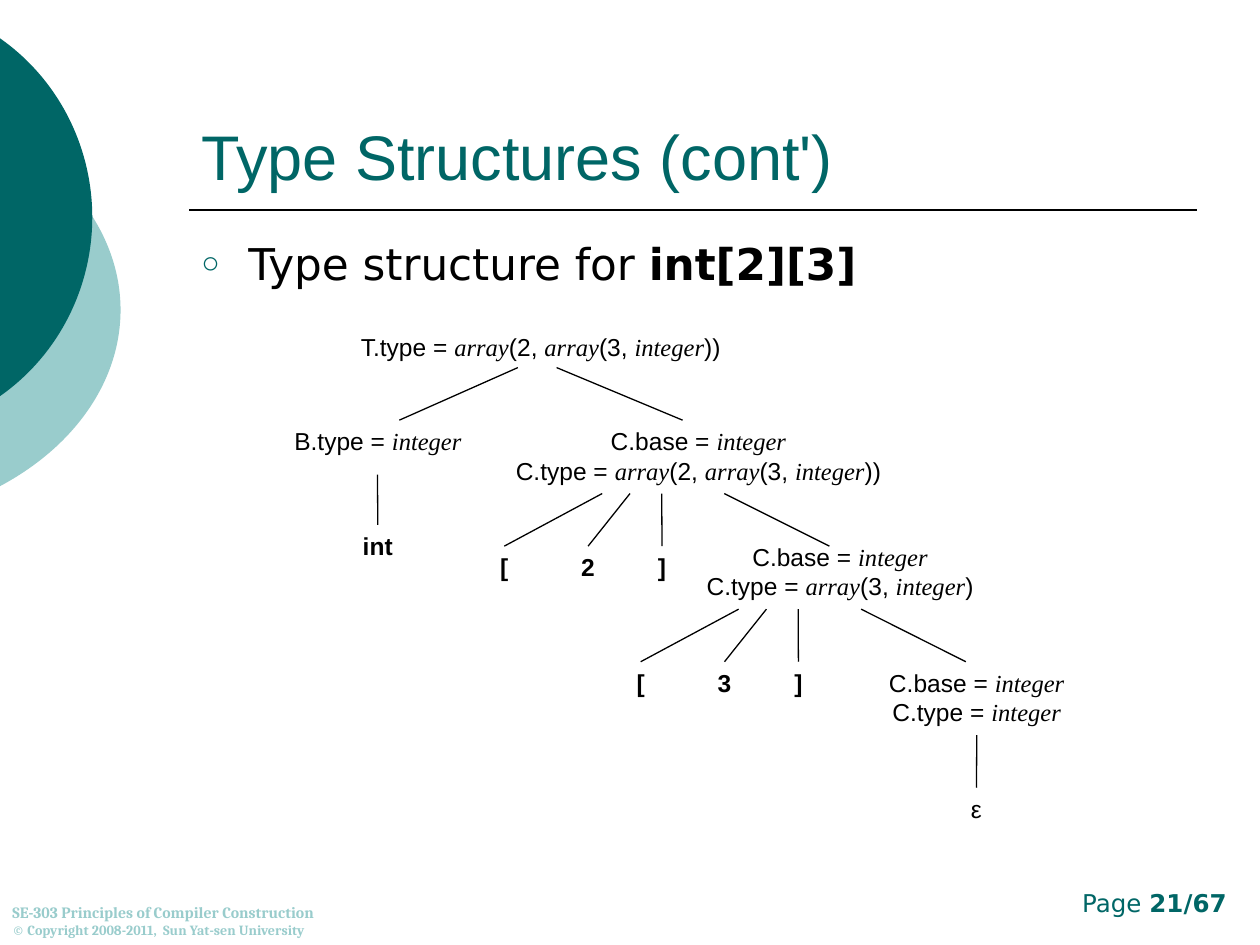
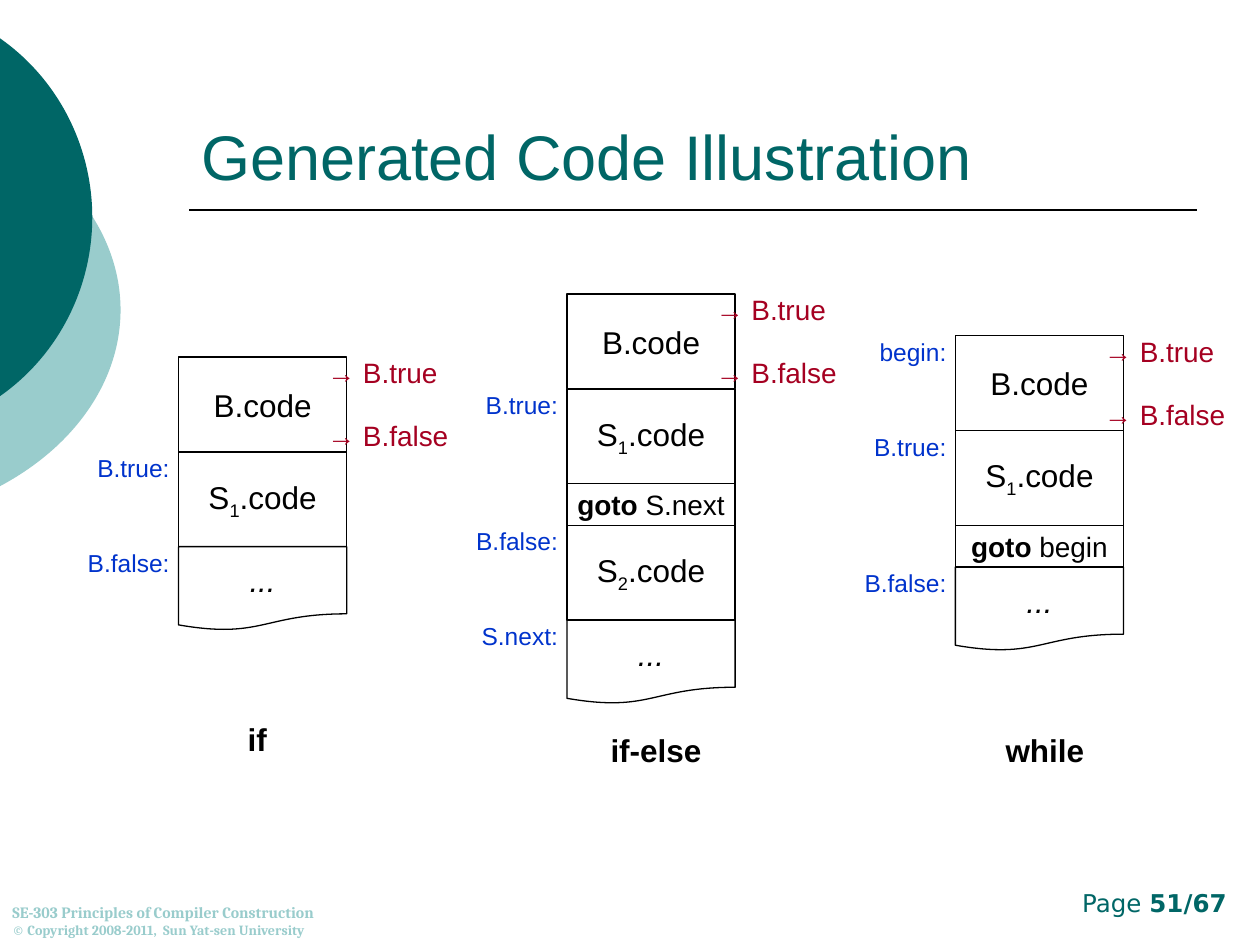
from lxml import etree
from pptx import Presentation
from pptx.dml.color import RGBColor
from pptx.enum import shapes, text
from pptx.oxml import ns
from pptx.util import Cm, Pt

HUES = {"dark": "006666", "pale": "99CCCC", "ink": "000000",
        "jump": "A50021", "label": "0033CC"}
LEFT, MID, RIGHT = text.PP_ALIGN.LEFT, text.PP_ALIGN.CENTER, text.PP_ALIGN.RIGHT
TOP, CORE, LOW = text.MSO_ANCHOR.TOP, text.MSO_ANCHOR.MIDDLE, text.MSO_ANCHOR.BOTTOM
RECT, DOC = shapes.MSO_SHAPE.RECTANGLE, shapes.MSO_SHAPE.FLOWCHART_DOCUMENT

HEAD = {"name": "Arial", "size": 36, "hue": "dark"}
BODY = {"name": "DejaVu Sans", "size": 25}
PAGE = {"name": "DejaVu Sans", "size": 14, "hue": "dark"}
FOOT = {"name": "Cambria", "size": 9, "bold": True, "hue": "pale"}
NODE = {"name": "Arial", "size": 14}
LEAF = {**NODE, "bold": True}
CODE = {"name": "Arial", "size": 18}
GOTO = {"name": "Arial", "size": 16}
DOTS = {**CODE, "italic": True}
NAME = {**CODE, "bold": True}
JUMP = {**GOTO, "hue": "jump"}
MARK = {**NODE, "hue": "label"}
BOLD = {"bold": True}
TERM = {"name": "Times New Roman", "italic": True}
SUB = {"base": "-25000"}


def put(page, spot, words, fmt, alt=BOLD, kind=None, align=LEFT, anchor=TOP, pad=0.25):
    """Add a text box, or a preset shape; every second part between bars takes alt."""
    spot = [Cm(n) for n in spot]
    if kind is None:
        item = page.shapes.add_textbox(*spot)
    else:
        item = page.shapes.add_shape(kind, *spot)
        item.shadow.inherit = False
        item.fill.background()
        item.line.color.rgb = RGBColor.from_string(HUES["ink"])
        item.line.width = Pt(0.75)
    frame = item.text_frame
    frame.word_wrap = True
    frame.vertical_anchor = anchor
    frame.margin_left = frame.margin_right = Cm(pad)
    for i, row in enumerate(words.split("\n")):
        para = frame.add_paragraph() if i else frame.paragraphs[0]
        para.alignment = align
        for j, part in enumerate(row.split("|")):
            if not part:
                continue
            run = para.add_run()
            run.text = part
            look = {**fmt, **alt} if j % 2 else dict(fmt)
            run.font.color.rgb = RGBColor.from_string(HUES[look.pop("hue", "ink")])
            run.font.size = Pt(look.pop("size"))
            if "base" in look:
                run._r.get_or_add_rPr().set("baseline", look.pop("base"))
            for key, value in look.items():
                setattr(run.font, key, value)
    return item


def line(page, start, end, width=0.75):
    ends = [Cm(n) for n in (*start, *end)]
    link = page.shapes.add_connector(shapes.MSO_CONNECTOR.STRAIGHT, *ends)
    link.line.color.rgb = RGBColor.from_string(HUES["ink"])
    link.line.width = Pt(width)
    etree.SubElement(link._element.spPr, ns.qn("a:effectLst"))
    return link


deck = Presentation()
deck.slide_width, deck.slide_height = Cm(25.4), Cm(19.05)

# Shared frame: discs running over the left edge, rule, page number, title, footer
discs = [("pale", -9, 1.91, 11.43, 8.68), ("dark", -6.74, 0, 8.6, 8.76)]
pages = []
for title, num in [("Type Structures (cont')", 21), ("Generated Code Illustration", 51)]:
    page = deck.slides.add_slide(deck.slide_layouts[6])
    pages.append(page)
    for hue, *spot in discs:
        disc = page.shapes.add_shape(shapes.MSO_SHAPE.OVAL, *[Cm(n) for n in spot])
        disc.shadow.inherit = False
        disc.fill.solid()
        disc.fill.fore_color.rgb = RGBColor.from_string(HUES[hue])
        disc.line.fill.background()
    line(page, (3.81, 4.23), (24.13, 4.23), 1)
    put(page, (19.26, 17.78, 5.72, 0.85), f"Page |{num}/67", PAGE, align=RIGHT)
    put(page, (3.81, 0.84, 20.32, 3.17), title, HEAD, anchor=LOW)
    put(page, (0, 17.78, 8.69, 1.27), "SE-303 Principles of Compiler Construction\n"
        "|© Copyright 2008-2011,  Sun Yat-sen University", FOOT, {"size": 8}, anchor=LOW)
types, code = pages

# Type structure tree
body = put(types, (3.81, 4.64, 20.32, 11.84), "Type structure for |int[2][3]", BODY)
prop = body.text_frame.paragraphs[0]._p.get_or_add_pPr()
prop.set("marL", str(Cm(0.95)))
prop.set("indent", str(-Cm(0.95)))
tint = etree.SubElement(prop, ns.qn("a:buClr"))
etree.SubElement(tint, ns.qn("a:srgbClr"), val=HUES["dark"])
etree.SubElement(prop, ns.qn("a:buSzPct"), val="70000")
etree.SubElement(prop, ns.qn("a:buFont"), typeface="Arial")
etree.SubElement(prop, ns.qn("a:buChar"), char="○")

# Each node: left, top, width, words, format, start of its branch, free end of it;
# a branch without a free end joins the top of the node
tree = [
    (6.77, 6.56, 8.26, "T.type = |array|(2, |array|(3, |integer|))", NODE, None, None),
    (5.08, 8.47, 5.08, "B.type = |integer|", NODE, (10.44, 7.41), (8.05, 8.47)),
    (9.95, 8.47, 8.26, "C.base = |integer|\nC.type = |array|(2, |array|(3, |integer|))",
     NODE, (11.22, 7.41), (13.76, 8.47)),
    (6.77, 10.58, 1.69, "int", LEAF, (7.61, 9.57), None),
    (13.55, 10.8, 6.77, "C.base = |integer|\nC.type = |array|(3, |integer|)",
     NODE, (14.6, 9.95), (16.72, 11.01)),
    (17.15, 13.34, 5.08, "C.base = |integer|\nC.type = |integer|",
     NODE, (17.36, 12.28), (19.47, 13.34)),
    (18.84, 15.88, 1.69, "ε", NODE, (19.69, 14.82), None),
]
for size, x, y in [("2", 9.32, 11.01), ("3", 12.07, 13.34)]:
    for mark, step, root in [("[", 0, 2.82), (size, 1.69, 3.38), ("]", 3.18, 4.02)]:
        tree.append((x + step, y, 1.69, mark, LEAF, (x + root, y - 1.06), None))

for x, y, wide, words, fmt, start, end in tree:
    high = 1.45 if "\n" in words else 0.85
    node = put(types, (x, y, wide, high), words, fmt, TERM, align=MID)
    if start:
        link = line(types, start, end or (x + wide / 2, y))
        if not end:
            link.end_connect(node, 0)

# Code layouts: each row has height, words, format, format between bars, shape
test = (1.91, "B.code", CODE, BOLD, RECT)
first = (1.91, "S|1|.code", CODE, SUB, RECT)
other = (1.91, "S|2|.code", CODE, SUB, RECT)
leave = (0.84, "|goto| S.next", GOTO, BOLD, RECT)
again = (0.84, "|goto| begin", GOTO, BOLD, RECT)
rest = (1.69, "...", DOTS, BOLD, DOC)
stacks = [
    ("if", 2.96, 14.4, 7.2, [(test, ""), (first, "B.true:"), (rest, "B.false:")]),
    ("if-else", 11, 14.61, 5.93, [(test, ""), (first, "B.true:"), (leave, ""),
                                  (other, "B.false:"), (rest, "S.next:")]),
    ("while", 18.84, 14.61, 6.77, [(test, "begin:"), (first, "B.true:"), (again, ""),
                                   (rest, "B.false:")]),
]
for i, (name, left, base, top, rows) in enumerate(stacks):
    x = 3.6 + 7.83 * i
    y = top
    for (high, words, fmt, alt, kind), mark in rows:
        put(code, (x, y, 3.39, high), words, fmt, alt, kind, MID, CORE, 0)
        if mark:
            put(code, (x - 3.18, y, 3.39, 0.64), mark, MARK,
                align=RIGHT, anchor=CORE, pad=0.39)
        y += high
    for j, goal in enumerate(["→ B.true", "→ B.false"]):
        put(code, (x + 2.75, top + 1.27 * j, 3.39, 0.62), goal, JUMP, anchor=CORE)
    put(code, (left, base, 4.45, 1.02), name, NAME, align=MID)

deck.save("out.pptx")
